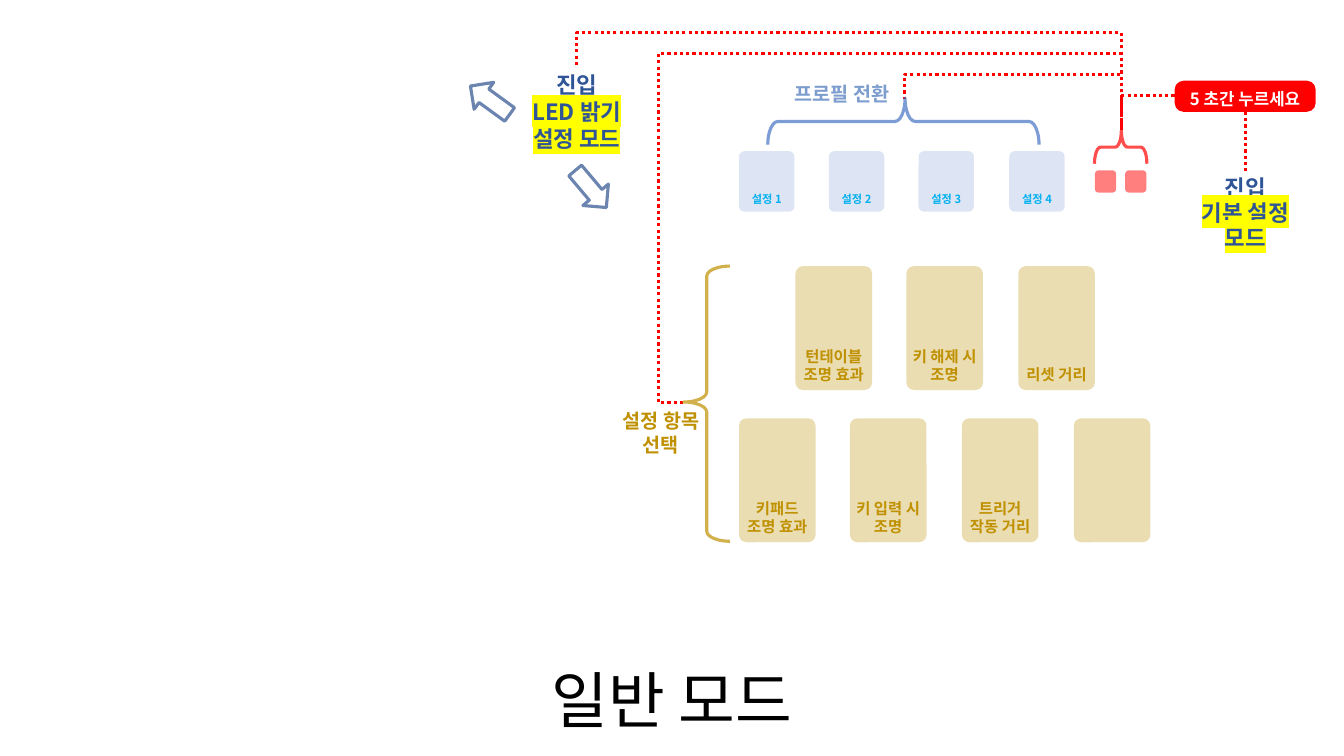
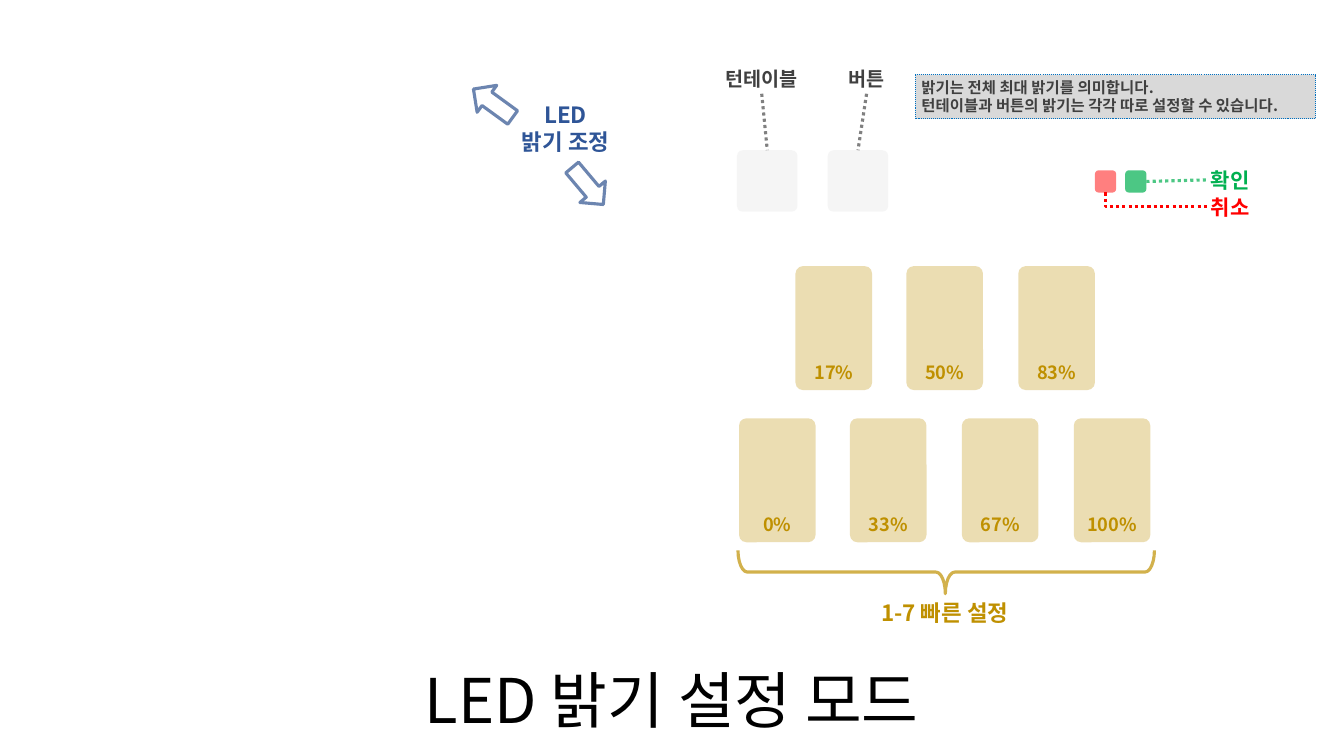
from dataclasses import dataclass

from lxml.etree import SubElement
from pptx import Presentation
from pptx.dml.color import RGBColor
from pptx.enum.dml import MSO_LINE as Dash
from pptx.enum.shapes import MSO_CONNECTOR as Link, MSO_SHAPE as Preset
from pptx.enum.text import MSO_ANCHOR as Anchor, PP_ALIGN as Align
from pptx.oxml.ns import qn
from pptx.shapes.autoshape import Shape
from pptx.shapes.connector import Connector
from pptx.slide import Slide
from pptx.util import Pt

PX = 9144  # EMU, a hundredth of an inch
FONT = "Noto Sans CJK SC"

BLACK = RGBColor(0x00, 0x00, 0x00)
WHITE = RGBColor(0xFF, 0xFF, 0xFF)
RED = RGBColor(0xFF, 0x00, 0x00)
GREEN = RGBColor(0x00, 0xB0, 0x50)
GOLD = RGBColor(0xBF, 0x90, 0x00)
NAVY = RGBColor(0x2F, 0x55, 0x97)
ARROW_BLUE = RGBColor(0x2F, 0x52, 0x8F)
BRACE_BLUE = RGBColor(0x44, 0x72, 0xC4)
PROFILE_BLUE = RGBColor(0x8F, 0xAA, 0xDC)
LABEL_BLUE = RGBColor(0x7C, 0x9D, 0xCE)
SKY = RGBColor(0x00, 0xB0, 0xF0)
NOTE_BORDER = RGBColor(0x00, 0x70, 0xC0)
DARK_GRAY = RGBColor(0x40, 0x40, 0x40)
GRAY = RGBColor(0x80, 0x80, 0x80)
NOTE_GRAY = RGBColor(0xD9, 0xD9, 0xD9)
PALE_GRAY = RGBColor(0xED, 0xED, 0xED)
HIGHLIGHT = "FFFF00"

SLIDE_WIDTH, SLIDE_HEIGHT = 1333, 750
TILE_CORNER = 0.097
LINE_WIDTH = 2.25


@dataclass(frozen=True)
class Box:
    left: int
    top: int
    width: int
    height: int

    def emu(self) -> tuple[int, ...]:
        return tuple(v * PX for v in (self.left, self.top, self.width, self.height))


@dataclass(frozen=True)
class Style:
    size: int
    color: RGBColor
    bold: bool = True
    align: Align = Align.CENTER
    anchor: Anchor = Anchor.TOP
    spacing: Pt | float | None = None
    insets: tuple[int, int, int, int] = (4, 4, 4, 4)
    highlight: bool = False  # marks every line after the first


@dataclass(frozen=True)
class Brace:
    box: Box
    rotation: int
    color: RGBColor
    curve: float = 0.217
    tip: float = 0.494


@dataclass(frozen=True)
class Route:
    """Dotted elbow whose frame is turned by whole quarter turns."""
    start: tuple[int, int]
    end: tuple[int, int]
    preset: str
    quarter_turns: int = 3
    adjustments: tuple[float, ...] = ()


TITLE = Style(44, BLACK, bold=False, anchor=Anchor.MIDDLE, spacing=0.9, insets=(10, 5, 10, 5))
MODE = Style(16, NAVY)
MODE_ENTRY = Style(16, NAVY, highlight=True)
BASIC_ENTRY = Style(16, NAVY, spacing=Pt(18), highlight=True)
SETTING = Style(11, GOLD, anchor=Anchor.BOTTOM)
PERCENT = Style(13, GOLD, anchor=Anchor.BOTTOM, insets=(4, 5, 4, 5))
PROFILE = Style(8, SKY, anchor=Anchor.BOTTOM)
BADGE = Style(12, WHITE, anchor=Anchor.MIDDLE, spacing=Pt(18), insets=(4, 0, 4, 0))
GROUP = Style(14, GOLD, insets=(10, 5, 10, 5))
PROFILE_GROUP = Style(14, LABEL_BLUE, insets=(10, 5, 10, 5))
QUICK = Style(16, GOLD)
TARGET = Style(14, DARK_GRAY, spacing=Pt(18))
NOTE = Style(11, DARK_GRAY, align=Align.LEFT, anchor=Anchor.MIDDLE, spacing=Pt(13),
             insets=(6, 4, 4, 4))
CONFIRM = Style(15, GREEN, align=Align.LEFT, insets=(4, 0, 4, 0))
CANCEL = Style(15, RED, align=Align.LEFT, insets=(4, 0, 4, 0))

SETTING_ROWS = (("턴테이블 조명 효과", "키 해제 시 조명", "리셋 거리"),
                ("키패드 조명 효과", "키 입력 시 조명", "트리거 작동 거리", ""))
PERCENT_ROWS = (("17%", "50%", "83%"), ("0%", "33%", "67%", "100%"))

FORK = (1112, 129)
ENTRY_ROUTES = (
    Route(FORK, (678, 399), "bentConnector4", adjustments=(-0.28, 1.058)),
    Route(FORK, (572, 67), "bentConnector3", adjustments=(1.558,)),
    Route((1165, 95), FORK, "bentConnector2", quarter_turns=2),
    Route(FORK, (897, 98), "bentConnector3", adjustments=(1.782,)),
)
NORMAL_BRACES = (
    Brace(Box(1095, 120, 33, 52), 90, RED, curve=0.184, tip=0.488),
    Brace(Box(678, 264, 46, 273), 0, GOLD),
    Brace(Box(873, -14, 46, 269), 90, BRACE_BLUE),
)
QUICK_BRACE = Brace(Box(917, 361, 43, 413), 270, GOLD, tip=0.498)


def set_opacity(properties, percent: int) -> None:
    color = properties.find(qn("a:solidFill"))[0]
    SubElement(color, qn("a:alpha")).set("val", str(percent * 1000))


def write(shape: Shape, text: str, style: Style) -> None:
    frame = shape.text_frame
    frame.word_wrap = True
    frame.vertical_anchor = style.anchor
    (frame.margin_left, frame.margin_top,
     frame.margin_right, frame.margin_bottom) = (v * PX for v in style.insets)
    paragraph = frame.paragraphs[0]
    paragraph.text = text
    paragraph.alignment = style.align
    if style.spacing is not None:
        paragraph.line_spacing = style.spacing
    for index, run in enumerate(paragraph.runs):
        run.font.size = Pt(style.size)
        run.font.bold = style.bold
        run.font.color.rgb = style.color
        run.font.name = FONT
        properties = run.font.color and run._r.get_or_add_rPr()
        SubElement(properties, qn("a:ea")).set("typeface", FONT)
        if style.highlight and index:
            mark = SubElement(properties, qn("a:highlight"))
            SubElement(mark, qn("a:srgbClr")).set("val", HIGHLIGHT)
            properties.find(qn("a:solidFill")).addnext(mark)


def add_label(slide: Slide, box: Box, text: str, style: Style) -> Shape:
    label = slide.shapes.add_textbox(*box.emu())
    write(label, text, style)
    return label


def add_block(slide: Slide, box: Box, color: RGBColor, opacity: int = 100,
              corner: float | None = None, preset: Preset = Preset.ROUNDED_RECTANGLE) -> Shape:
    block = slide.shapes.add_shape(preset, *box.emu())
    block.shadow.inherit = False
    block.fill.solid()
    block.fill.fore_color.rgb = color
    block.line.fill.background()
    if corner is not None:
        block.adjustments[0] = corner
    if opacity < 100:
        set_opacity(block.element.spPr, opacity)
    return block


def add_outline(slide: Slide, preset: Preset, box: Box, rotation: float,
                color: RGBColor) -> Shape:
    """Unfilled shape with a translucent line."""
    outline = slide.shapes.add_shape(preset, *box.emu())
    outline.shadow.inherit = False
    outline.rotation = rotation
    outline.fill.background()
    outline.line.color.rgb = color
    outline.line.width = Pt(LINE_WIDTH)
    set_opacity(outline.element.spPr.find(qn("a:ln")), 70)
    return outline


def add_brace(slide: Slide, brace: Brace) -> None:
    shape = add_outline(slide, Preset.LEFT_BRACE, brace.box, brace.rotation, brace.color)
    shape.adjustments[0] = brace.curve
    shape.adjustments[1] = brace.tip


def style_dotted(connector: Connector, color: RGBColor) -> None:
    connector.line.color.rgb = color
    connector.line.width = Pt(LINE_WIDTH)
    connector.line.dash_style = Dash.ROUND_DOT
    SubElement(connector.element.spPr, qn("a:effectLst"))


def join(slide: Slide, first: Shape, first_side: int, second: Shape, second_side: int,
         color: RGBColor) -> Connector:
    connector = slide.shapes.add_connector(Link.STRAIGHT, 0, 0, 0, 0)
    connector.begin_connect(first, first_side)
    connector.end_connect(second, second_side)
    style_dotted(connector, color)
    return connector


def add_route(slide: Slide, route: Route) -> None:
    (x1, y1), (x2, y2) = route.start, route.end
    center_x, center_y = (x1 + x2) / 2, (y1 + y2) / 2
    dx, dy = x1 - center_x, y1 - center_y
    for _ in range(4 - route.quarter_turns):
        dx, dy = -dy, dx
    ends = (center_x + dx, center_y + dy, center_x - dx, center_y - dy)
    connector = slide.shapes.add_connector(Link.ELBOW, *(round(v * PX) for v in ends))
    properties = connector.element.spPr
    properties.find(qn("a:xfrm")).set("rot", str(route.quarter_turns * 90 * 60000))
    geometry = properties.find(qn("a:prstGeom"))
    geometry.set("prst", route.preset)
    guides = geometry.find(qn("a:avLst"))
    for number, value in enumerate(route.adjustments, start=1):
        guide = SubElement(guides, qn("a:gd"))
        guide.set("name", f"adj{number}")
        guide.set("fmla", f"val {round(value * 100000)}")
    style_dotted(connector, RED)


def add_keys(slide: Slide, rows: tuple[tuple[str, ...], ...], style: Style) -> None:
    for (left, top), texts in zip(((789, 264), (733, 415)), rows):
        for column, text in enumerate(texts):
            box = Box(left + 332 * column // 3, top, 76, 123)
            key = add_block(slide, box, GOLD, 30, TILE_CORNER)
            if text:
                write(key, text, style)


def add_dial_arrows(slide: Slide, *corners: tuple[int, int]) -> None:
    for (left, top), rotation in zip(corners, (36, 229.9)):
        add_outline(slide, Preset.LEFT_ARROW, Box(left, top, 48, 33), rotation, ARROW_BLUE)


def start_slide(presentation: Presentation, title: str) -> Slide:
    slide = presentation.slides.add_slide(presentation.slide_layouts[6])
    add_label(slide, Box(0, 646, SLIDE_WIDTH, 104), title, TITLE)
    return slide


def add_small_buttons(slide: Slide, *fills: tuple[RGBColor, int]) -> list[Shape]:
    return [add_block(slide, Box(1086 + 30 * column, 169, 21, 22), color, opacity)
            for column, (color, opacity) in enumerate(fills)]


def build_normal_mode(presentation: Presentation) -> None:
    slide = start_slide(presentation, "일반 모드")
    add_small_buttons(slide, (RED, 50), (RED, 50))
    basic = add_label(slide, Box(1180, 170, 110, 84), "진입\v기본 설정 모드", BASIC_ENTRY)
    add_keys(slide, SETTING_ROWS, SETTING)
    add_label(slide, Box(515, 67, 114, 89), "진입\vLED 밝기 설정 모드", MODE_ENTRY)
    add_dial_arrows(slide, (462, 83), (562, 171))
    for column in range(4):
        box = Box(733 + 268 * column // 3, 150, 55, 60)
        profile = add_block(slide, box, PROFILE_BLUE, 30, TILE_CORNER)
        write(profile, f"설정 {column + 1}", PROFILE)
    badge = add_block(slide, Box(1165, 80, 140, 31), RED, corner=0.291)
    write(badge, "5 초간 누르세요", BADGE)
    join(slide, badge, 2, basic, 0, RED)
    for route in ENTRY_ROUTES:
        add_route(slide, route)
    for brace in NORMAL_BRACES:
        add_brace(slide, brace)
    add_label(slide, Box(601, 401, 109, 57), "설정 항목 선택", GROUP)
    add_label(slide, Box(771, 76, 128, 34), "프로필 전환", PROFILE_GROUP)


def build_brightness_mode(presentation: Presentation) -> None:
    slide = start_slide(presentation, "LED 밝기 설정 모드")
    _, confirm_button = add_small_buttons(slide, (RED, 50), (GREEN, 70))
    confirm = add_label(slide, Box(1197, 166, 56, 25), "확인", CONFIRM)
    add_label(slide, Box(504, 96, 114, 62), "LED\v밝기 조정", MODE)
    add_dial_arrows(slide, (465, 86), (559, 168))
    confirm_line = join(slide, confirm_button, 3, confirm, 1, GREEN)
    set_opacity(confirm_line.element.spPr.find(qn("a:ln")), 70)
    add_label(slide, Box(1197, 193, 86, 25), "취소", CANCEL)
    add_route(slide, Route((1096, 191), (1197, 205), "bentConnector2"))
    add_brace(slide, QUICK_BRACE)
    add_label(slide, Box(823, 590, 228, 35), "1-7 빠른 설정", QUICK)
    add_keys(slide, PERCENT_ROWS, PERCENT)
    for tile_left, label_left, text in ((731, 707, "턴테이블"), (821, 811, "버튼")):
        tile = add_block(slide, Box(tile_left, 149, 60, 61), PALE_GRAY, 50, TILE_CORNER)
        label = add_label(slide, Box(label_left, 61, 97, 32), text, TARGET)
        join(slide, label, 2, tile, 0, GRAY)
    note = add_block(slide, Box(908, 74, 397, 44), NOTE_GRAY, preset=Preset.RECTANGLE)
    note.line.color.rgb = NOTE_BORDER
    note.line.width = Pt(0.75)
    note.line.dash_style = Dash.ROUND_DOT
    write(note, "밝기는 전체 최대 밝기를 의미합니다.\v"
                "턴테이블과 버튼의 밝기는 각각 따로 설정할 수 있습니다.", NOTE)


def main() -> None:
    presentation = Presentation()
    presentation.slide_width = SLIDE_WIDTH * PX
    presentation.slide_height = SLIDE_HEIGHT * PX
    build_normal_mode(presentation)
    build_brightness_mode(presentation)
    presentation.save("out.pptx")


if __name__ == "__main__":
    main()
